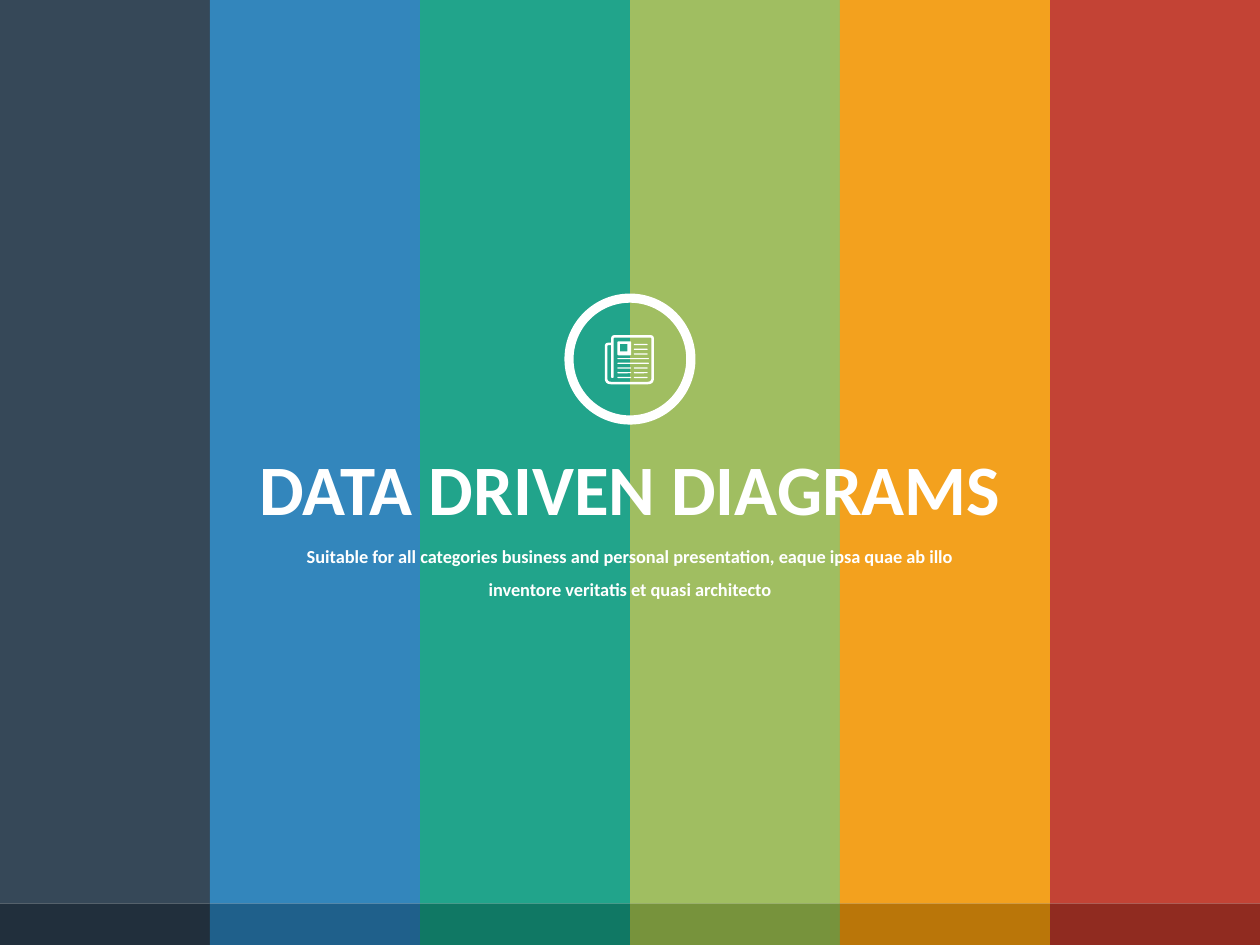
from lxml import etree
from pptx import Presentation
from pptx.dml.color import RGBColor
from pptx.enum.shapes import MSO_SHAPE
from pptx.enum.text import MSO_ANCHOR, MSO_AUTO_SIZE, PP_ALIGN
from pptx.oxml.ns import qn
from pptx.util import Inches, Pt

RECT, ROUND, DONUT = MSO_SHAPE.RECTANGLE, MSO_SHAPE.ROUNDED_RECTANGLE, MSO_SHAPE.DONUT
TOP, CENTER, FIXED = MSO_ANCHOR.TOP, PP_ALIGN.CENTER, MSO_AUTO_SIZE.NONE

# Content
TITLE = "DATA DRIVEN DIAGRAMS"
NOTE = ("Suitable for all categories business and personal presentation, "
        "eaque ipsa quae ab illo inventore veritatis et quasi architecto")
HEX = {
    "navy": "2C3F50", "blue": "2980B9", "teal": "16A085",
    "green": "9BBB59", "amber": "F39C12", "red": "C0392B",
    "navy dark": "212F3C", "blue dark": "1F608B", "teal dark": "107864",
    "green dark": "77933C", "amber dark": "BA7609", "red dark": "902B20",
    "white": "FFFFFF",
}
BANDS = ["navy", "blue", "teal", "green", "amber", "red"]
WIDE, HIGH, SPLIT = 10, 7.5, 7.17

# Icon outlines: corners as (x, y, radius)
SHEET = [
    [(4.85, 2.66, 0.03), (5.19, 2.66, 0.03), (5.19, 3.05, 0.05),
     (4.8, 3.05, 0.05), (4.8, 2.72, 0.03), (4.85, 2.72, 0)],
    [(4.85, 2.74, 0), (4.82, 2.74, 0.01), (4.82, 3.03, 0.03),
     (5.17, 3.03, 0.03), (5.17, 2.68, 0.01), (4.87, 2.68, 0.01),
     (4.87, 3, 0.01), (4.85, 3, 0.01)],
]
PHOTO = [
    [(4.9, 2.71, 0.01), (5.01, 2.71, 0.01), (5.01, 2.82, 0.01), (4.9, 2.82, 0.01)],
    [(4.92, 2.73, 0), (4.92, 2.79, 0), (4.98, 2.79, 0), (4.98, 2.73, 0)],
]
# Text lines of the icon, row by row, as (left, width)
LEFT, RIGHT, FULL = (4.9, 0.11), (5.03, 0.11), (4.9, 0.25)
ROWS = [[RIGHT]] * 3 + [[FULL]] * 2 + [[LEFT, RIGHT]] * 3
FIRST, LAST = 2.73, 2.99


def paint(shape, name, alpha=None):
    shape.shadow.inherit = False
    shape.fill.solid()
    shape.fill.fore_color.rgb = RGBColor.from_string(HEX[name])
    shape.line.fill.background()
    if alpha:
        color = shape.element.spPr.find(".//" + qn("a:srgbClr"))
        etree.SubElement(color, qn("a:alpha")).set("val", str(alpha * 1000))


def add(shapes, kind, box, name, alpha=None):
    shape = shapes.add_shape(kind, *map(Inches, box))
    paint(shape, name, alpha)
    return shape


def trace(corners, steps=6):
    """Points of a closed outline with its corners rounded."""
    points = []
    for i, (x, y, r) in enumerate(corners):
        ends = []
        for px, py, _ in (corners[i - 1], corners[(i + 1) % len(corners)]):
            gap = max(abs(px - x), abs(py - y))
            ends.append((x + (px - x) * r / gap, y + (py - y) * r / gap))
        (ax, ay), (bx, by) = ends
        for k in range(steps + 1 if r else 1):
            t = k / steps
            u = 1 - t
            points.append((Inches(u * u * ax + 2 * u * t * x + t * t * bx),
                           Inches(u * u * ay + 2 * u * t * y + t * t * by)))
    return points


def draw(shapes, loops):
    outer, inner = map(trace, loops)
    pen = shapes.build_freeform(*outer[0])
    pen.add_line_segments(outer[1:])
    pen.move_to(*inner[0])
    pen.add_line_segments(inner[1:])
    paint(pen.convert_to_shape(), "white")


def write(holder, text, box, size, wrap, space):
    holder.left, holder.top, holder.width, holder.height = map(Inches, box)
    frame = holder.text_frame
    frame.text = text
    frame.word_wrap, frame.auto_size = wrap, FIXED
    frame.vertical_anchor = TOP
    para = frame.paragraphs[0]
    para.alignment, para.line_spacing, para.space_before = CENTER, space, Pt(0)
    font = para.font
    font.name, font.size, font.bold = "Calibri", Pt(size), True
    font.color.rgb = RGBColor.from_string(HEX["white"])
    # Bring the text in front of the bands
    holder.element.getparent().append(holder.element)


deck = Presentation()
deck.slide_width, deck.slide_height = Inches(WIDE), Inches(HIGH)
slide = deck.slides.add_slide(deck.slide_layouts[0])
shapes = slide.shapes

# Colour bands with darker feet
step = WIDE / len(BANDS)
for i, name in enumerate(BANDS):
    add(shapes, RECT, (i * step, 0, step, SPLIT), name, 95)
    add(shapes, RECT, (i * step, SPLIT, step, HIGH - SPLIT), name + " dark")

# Title and subtitle
write(shapes.title, TITLE, (1.94, 3.48, 6.13, 0.78), 40.5, False, 1.0)
write(slide.placeholders[1], NOTE, (2.19, 4.19, 5.62, 0.63), 10.5, True, 1.5)

# Ring
ring = add(shapes, DONUT, (4.48, 2.33, 1.04, 1.04), "white")
ring.adjustments[0] = 0.07

# Newspaper icon
icon = shapes.add_group_shape().shapes
draw(icon, SHEET)
draw(icon, PHOTO)
pitch = (LAST - FIRST) / (len(ROWS) - 1)
for i, row in enumerate(ROWS):
    for left, width in row:
        bar = add(icon, ROUND, (left, FIRST + i * pitch, width, 0.01), "white")
        bar.adjustments[0] = 0.5

deck.save("out.pptx")
